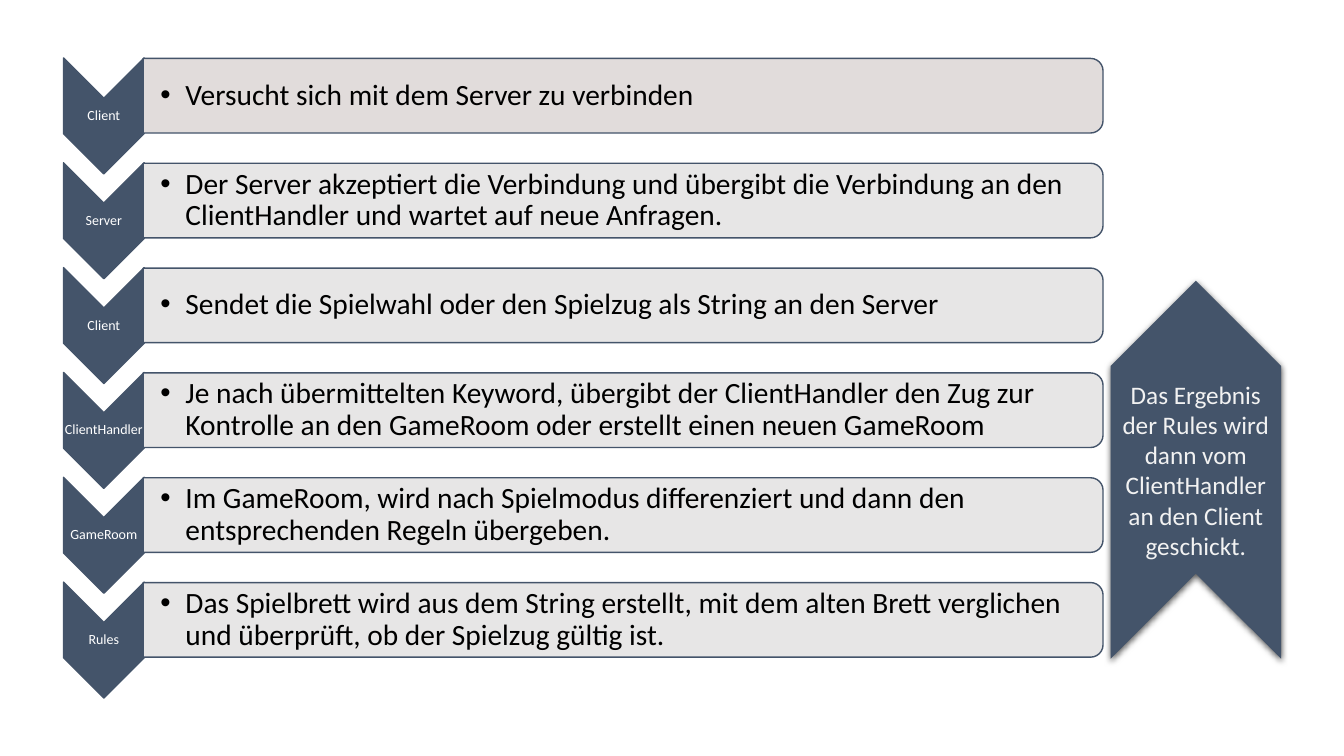
from lxml import etree
from pptx import Presentation
from pptx.dml.color import RGBColor
from pptx.enum.shapes import MSO_SHAPE
from pptx.enum.text import MSO_ANCHOR, PP_ALIGN
from pptx.oxml.ns import qn
from pptx.util import Pt

PX = 9144
FONT = "Calibri"
NAVY = RGBColor(0x44, 0x54, 0x6A)
ROSE = RGBColor(0xE1, 0xDC, 0xDB)
GRAY = RGBColor(0xE7, 0xE6, 0xE6)
PALE = RGBColor(0xF2, 0xF2, 0xF2)
WHITE = RGBColor(0xFF, 0xFF, 0xFF)
BLACK = RGBColor(0, 0, 0)
CHEVRON = MSO_SHAPE.CHEVRON
ROUND = MSO_SHAPE.ROUND_2_SAME_RECTANGLE
MIDDLE = MSO_ANCHOR.MIDDLE
CENTER = PP_ALIGN.CENTER
LEFT = PP_ALIGN.LEFT

TOP = 95
PITCH = 104
STEPS = [
    ("Client", "Versucht sich mit dem Server zu verbinden"),
    ("Server", "Der Server akzeptiert die Verbindung und übergibt die Verbindung "
               "an den ClientHandler und wartet auf neue Anfragen."),
    ("Client", "Sendet die Spielwahl oder den Spielzug als String an den Server"),
    ("ClientHandler", "Je nach übermittelten Keyword, übergibt der ClientHandler den Zug "
                      "zur Kontrolle an den GameRoom oder erstellt einen neuen GameRoom"),
    ("GameRoom", "Im GameRoom, wird nach Spielmodus differenziert und dann den "
                 "entsprechenden Regeln übergeben."),
    ("Rules", "Das Spielbrett wird aus dem String erstellt, mit dem alten Brett "
              "verglichen und überprüft, ob der Spielzug gültig ist."),
]
RESULT = "Das Ergebnis der Rules wird dann vom ClientHandler an den Client geschickt."


class Flow:
    """Draws the elements of a step flow on one slide."""

    def __init__(self, slide):
        self.shapes = slide.shapes

    def turned(self, kind, mid_x, mid_y, width, height, angle, fill):
        shape = self.shapes.add_shape(
            kind, mid_x * PX - width * PX // 2, mid_y * PX - height * PX // 2,
            width * PX, height * PX)
        shape.rotation = angle
        shape.fill.solid()
        shape.fill.fore_color.rgb = fill
        shape.line.color.rgb = NAVY
        shape.line.width = Pt(1)
        shape.shadow.inherit = False
        return shape

    def letter(self, shape, text, size, color, align):
        frame = shape.text_frame
        frame.word_wrap = True
        frame.vertical_anchor = MIDDLE
        frame.text = text
        para = frame.paragraphs[0]
        para.alignment = align
        font = para.runs[0].font
        font.name, font.size, font.color.rgb = FONT, Pt(size), color
        return para

    def text(self, left, mid_y, width, height, inset, text, size, color, align):
        box = self.shapes.add_textbox(
            left * PX, mid_y * PX - height * PX // 2, width * PX, height * PX)
        frame = box.text_frame
        frame.margin_left = inset * PX
        frame.margin_top = frame.margin_right = frame.margin_bottom = PX
        para = self.letter(box, text, size, color, align)
        para.line_spacing = 0.9
        return para

    def label(self, mid_y, text):
        self.turned(CHEVRON, 103, mid_y, 115, 80, 90, NAVY)
        self.text(63, mid_y, 80, 34, 1, text, 10, WHITE, CENTER)

    def bar(self, mid_y, text, fill):
        self.turned(ROUND, 618, mid_y, 74, 952, 90, fill)
        para = self.text(143, mid_y, 948, 67, 16, text, 21, BLACK, LEFT)
        props = para._p.get_or_add_pPr()
        props.set("marL", str(25 * PX))
        props.set("indent", str(-25 * PX))
        etree.SubElement(props, qn("a:buFont"), typeface="Arial")
        etree.SubElement(props, qn("a:buChar"), char="•")

    def arrow(self, text):
        shape = self.turned(CHEVRON, 1186, 466, 375, 169, 270, NAVY)
        shape.line.fill.background()
        self.letter(shape, text, 18, PALE, CENTER)
        shape.text_frame._txBody.bodyPr.set("vert", "vert")
        effects = shape._element.spPr.find(qn("a:effectLst"))
        shade = etree.SubElement(
            effects, qn("a:outerShdw"), blurRad=str(Pt(4.5)), dist=str(Pt(1.5)),
            dir="5400000", algn="ctr", rotWithShape="0")
        tint = etree.SubElement(shade, qn("a:srgbClr"), val=str(BLACK))
        etree.SubElement(tint, qn("a:alpha"), val="63000")


def main():
    """Build and save the slide."""
    deck = Presentation()
    deck.slide_width, deck.slide_height = 1333 * PX, 750 * PX
    flow = Flow(deck.slides.add_slide(deck.slide_layouts[6]))
    for index, (name, task) in enumerate(STEPS):
        mid_y = TOP + index * PITCH
        flow.label(mid_y + 20, name)
        flow.bar(mid_y, task, GRAY if index else ROSE)
    flow.arrow(RESULT)
    deck.save("out.pptx")


if __name__ == "__main__":
    main()
